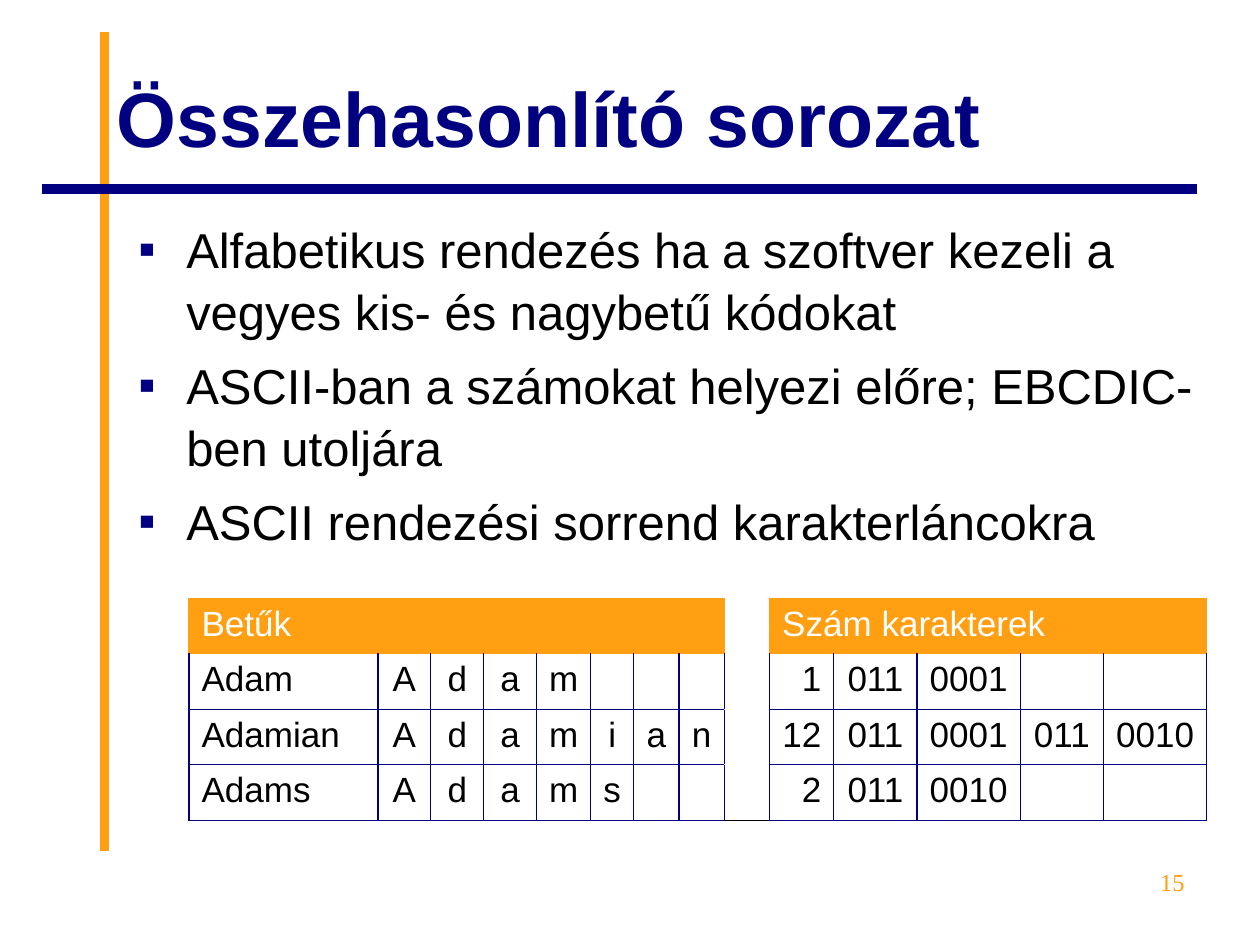
from lxml import etree
from pptx import Presentation
from pptx.dml.color import RGBColor
from pptx.enum import shapes, text
from pptx.oxml import ns
from pptx.util import Inches, Pt

ORANGE, NAVY, BLACK, WHITE = "FF9F11", "000080", "000000", "FFFFFF"
LEFT, CENTER, RIGHT = text.PP_ALIGN.LEFT, text.PP_ALIGN.CENTER, text.PP_ALIGN.RIGHT
color = RGBColor.from_string


def write_text(frame, paragraphs, size, ink, font="Arial", bold=False, align=LEFT,
               bullet=None, before=0, spacing=None):
    frame.word_wrap = True
    for index, words in enumerate(paragraphs):
        paragraph = frame.add_paragraph() if index else frame.paragraphs[0]
        paragraph.alignment = align
        if spacing:
            paragraph.line_spacing = spacing
        if index:
            paragraph.space_before = Pt(before)
        if bullet:
            props = paragraph._p.get_or_add_pPr()
            props.set("marL", str(Inches(0.38)))
            props.set("indent", str(-Inches(0.38)))
            bullet_color = etree.SubElement(props, ns.qn("a:buClr"))
            etree.SubElement(bullet_color, ns.qn("a:srgbClr"), val=NAVY)
            etree.SubElement(props, ns.qn("a:buFont"), typeface="Arial")
            etree.SubElement(props, ns.qn("a:buChar"), char=bullet)
        run = paragraph.add_run()
        run.text = words
        run.font.name, run.font.size, run.font.bold = font, Pt(size), bold
        run.font.color.rgb = color(ink)


def set_borders(cell, **sides):
    """Draw the sides given as L, R, T or B, each a (colour, width in points)."""
    props = cell._tc.get_or_add_tcPr()
    for side in "LRTB":
        if side in sides:
            ink, width = sides[side]
            line = etree.SubElement(props, ns.qn("a:ln" + side), w=str(Pt(width)))
            fill = etree.SubElement(line, ns.qn("a:solidFill"))
            etree.SubElement(fill, ns.qn("a:srgbClr"), val=ink)


prs = Presentation()
prs.slide_width, prs.slide_height = Inches(10), Inches(7.5)
slide = prs.slides.add_slide(prs.slide_layouts[6])

# Crossing rules
for x1, y1, x2, y2, ink in [(0.83, 6.75, 0.83, 0.25, ORANGE), (9.5, 1.5, 0.33, 1.5, NAVY)]:
    rule = slide.shapes.add_connector(
        shapes.MSO_CONNECTOR.STRAIGHT, Inches(x1), Inches(y1), Inches(x2), Inches(y2))
    rule.line.color.rgb = color(ink)
    rule.line.width = Pt(5.5)
    etree.SubElement(rule._element.spPr, ns.qn("a:effectLst"))

# Title, bullets and page number
title = slide.shapes.add_textbox(Inches(0.83), Inches(0.3), Inches(8.67), Inches(1.25))
title.text_frame.vertical_anchor = text.MSO_ANCHOR.MIDDLE
write_text(title.text_frame, ["Összehasonlító sorozat"], 44, NAVY, bold=True)

body = slide.shapes.add_textbox(Inches(1), Inches(1.67), Inches(8.58), Inches(4.95))
write_text(body.text_frame, [
    "Alfabetikus rendezés ha a szoftver kezeli a vegyes kis- és nagybetű kódokat",
    "ASCII-ban a számokat helyezi előre; EBCDIC-ben utoljára",
    "ASCII rendezési sorrend karakterláncokra",
], 28, BLACK, bullet="▪", before=7, spacing=1.05)

page_number = slide.shapes.add_textbox(Inches(7.17), Inches(6.83), Inches(2.33), Inches(0.52))
write_text(page_number.text_frame, ["15"], 14, ORANGE, font="Times New Roman", align=RIGHT)

# Sorting table: letters on the left, number characters on the right
GAP = 8
widths = [1.5, 0.42, 0.42, 0.42, 0.43, 0.34, 0.36, 0.36, 0.36, 0.51, 0.66, 0.82, 0.66, 0.82]
headings = {0: "Betűk", GAP + 1: "Szám karakterek"}
entries = [
    ("Adam", ["1", "011", "0001"]),
    ("Adamian", ["12", "011", "0001", "011", "0010"]),
    ("Adams", ["2", "011", "0010"]),
]
rows = [[headings.get(column, "") for column in range(len(widths))]]
for name, codes in entries:
    letters = [name, *name]
    rows.append(letters + [""] * (GAP + 1 - len(letters)) + codes + [""] * (5 - len(codes)))

table = slide.shapes.add_table(
    len(rows), len(widths), Inches(1.5), Inches(4.75), Inches(sum(widths)), Inches(1.76)).table
table.first_row = table.horz_banding = False
for column, width in zip(table.columns, widths):
    column.width = Inches(width)
for row in table.rows:
    row.height = Inches(0.44)
table.cell(0, 0).merge(table.cell(0, GAP - 1))
table.cell(0, GAP + 1).merge(table.cell(0, len(widths) - 1))

orange_line, navy_line = (ORANGE, 0.75), (NAVY, 0.75)
for r, row in enumerate(rows):
    side_line = navy_line if r else orange_line
    for c, words in enumerate(row):
        cell = table.cell(r, c)
        if c == GAP:
            bottom = {"B": (BLACK, 0.45)} if r == len(rows) - 1 else {}
            set_borders(cell, L=side_line, R=side_line, **bottom)
        else:
            top_line = navy_line if r > 1 else orange_line
            bottom_line = side_line if r else orange_line
            set_borders(cell, L=side_line, R=side_line, T=top_line, B=bottom_line)
        if r == 0 and c != GAP:
            cell.fill.solid()
            cell.fill.fore_color.rgb = color(ORANGE)
        else:
            cell.fill.background()
        if words:
            align = LEFT if r == 0 or c == 0 else RIGHT if c == GAP + 1 else CENTER
            write_text(cell.text_frame, [words], 20, BLACK if r else WHITE, align=align)

prs.save("out.pptx")
